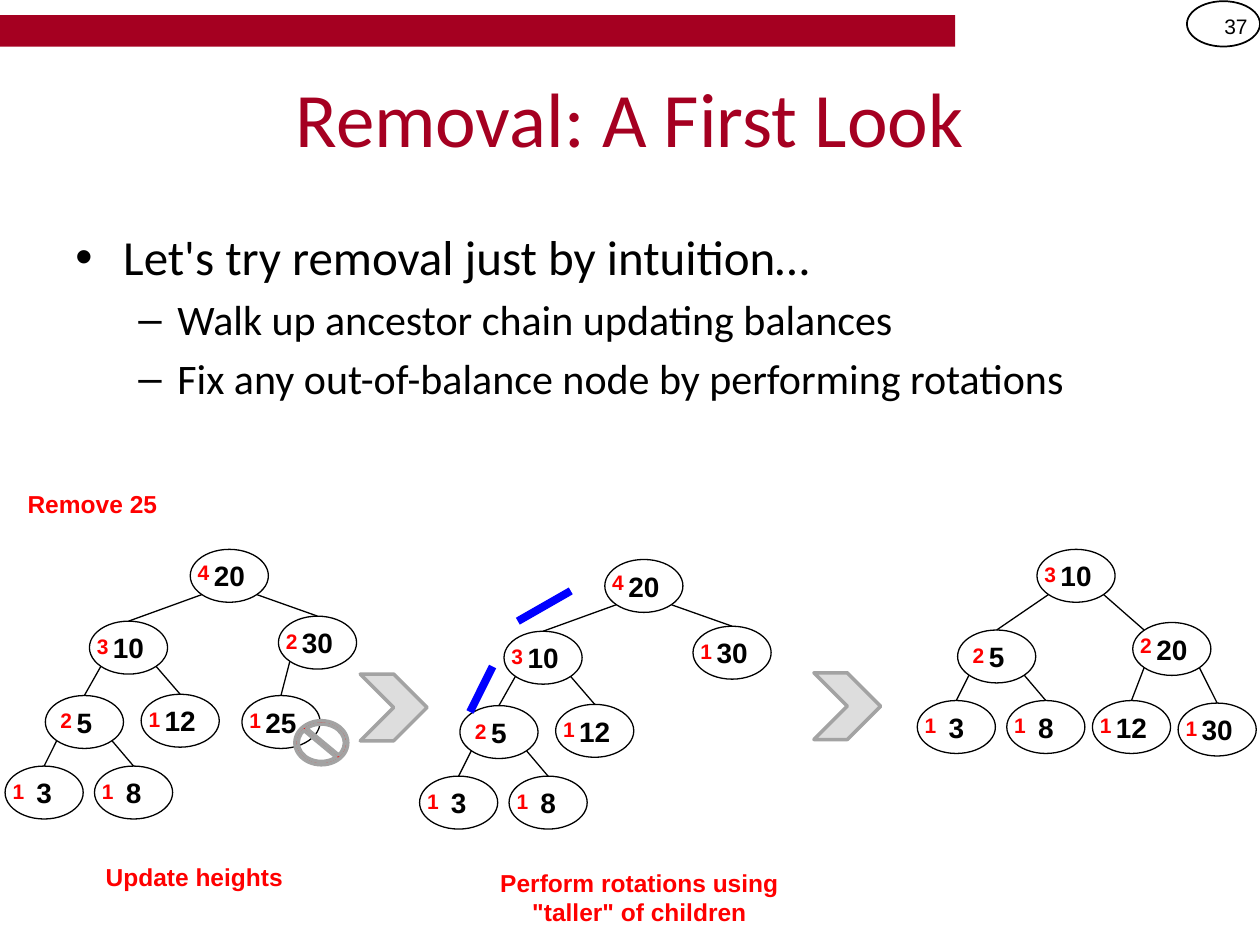
from lxml.etree import SubElement
from pptx import Presentation
from pptx.dml.color import RGBColor
from pptx.enum.shapes import MSO_CONNECTOR, MSO_SHAPE
from pptx.enum.text import MSO_ANCHOR, PP_ALIGN
from pptx.oxml.ns import qn
from pptx.util import Inches, Pt

COLORS = {"wine": "A50021", "black": "000000", "white": "FFFFFF", "red": "FF0000",
          "blue": "0000FF", "gray": "A3A3A3", "pale": "DDDDDD"}
NODE_W, NODE_H = 0.62, 0.42
EDGE_X, EDGE_Y = 0.09, 0.06

FIRST = [("20", 4, 1.51, 4.36, None), ("30", 2, 2.21, 4.89, "20"),
         ("10", 3, 0.71, 4.93, "20"), ("12", 1, 1.12, 5.51, "10"),
         ("25", 1, 1.92, 5.52, "30"), ("5", 2, 0.36, 5.52, "10"),
         ("3", 1, 0.04, 6.08, "5"), ("8", 1, 0.75, 6.08, "5")]
LAST = [("10", 3, 8.23, 4.36, None), ("20", 2, 8.99, 4.94, "10"),
        ("30", 1, 9.35, 5.58, "20"), ("12", 1, 8.67, 5.56, "20"),
        ("5", 2, 7.6, 5, "10"), ("3", 1, 7.28, 5.56, "5"),
        ("8", 1, 7.99, 5.56, "5")]


def paint(name):
    return RGBColor.from_string(COLORS[name])


def add_run(para, text, size, color, font="Arial", bold=False):
    run = para.add_run()
    run.text = text
    run.font.size = Pt(size)
    run.font.name = font
    run.font.bold = bold
    run.font.color.rgb = paint(color)


def add_box(slide, box, anchor=MSO_ANCHOR.TOP):
    frame = slide.shapes.add_textbox(*map(Inches, box)).text_frame
    frame.word_wrap = True
    frame.vertical_anchor = anchor
    return frame


def add_text(slide, box, text, size, color, align=PP_ALIGN.LEFT,
             anchor=MSO_ANCHOR.TOP, font="Arial", bold=False):
    para = add_box(slide, box, anchor).paragraphs[0]
    para.alignment = align
    add_run(para, text, size, color, font, bold)


def add_shape(slide, kind, box, fill=None, line=None, width=1):
    shape = slide.shapes.add_shape(kind, *map(Inches, box))
    shape.shadow.inherit = False
    if fill:
        shape.fill.solid()
        shape.fill.fore_color.rgb = paint(fill)
    else:
        shape.fill.background()
    if line:
        shape.line.color.rgb = paint(line)
        shape.line.width = Pt(width)
    else:
        shape.line.fill.background()
    return shape


def add_line(slide, start, end, color="black", width=0.75):
    line = slide.shapes.add_connector(MSO_CONNECTOR.STRAIGHT, *map(Inches, (*start, *end)))
    line.line.color.rgb = paint(color)
    line.line.width = Pt(width)
    SubElement(line._element.spPr, qn("a:effectLst"))


def add_node(slide, value, height, x, y):
    oval = add_shape(slide, MSO_SHAPE.OVAL, (x, y, NODE_W, NODE_H), "white", "black", 0.75)
    frame = oval.text_frame
    frame.margin_left = frame.margin_right = 0
    frame.vertical_anchor = MSO_ANCHOR.MIDDLE
    para = frame.paragraphs[0]
    para.alignment = PP_ALIGN.CENTER
    add_run(para, value, 16, "black", bold=True)
    left = x - (0.06 if value == "5" else 0.12)
    top = y + (0.03 if value == "20" else 0.05)
    add_text(slide, (left, top, 0.37, 0.3), str(height), 12, "red",
             PP_ALIGN.RIGHT, bold=True)


def add_edge(slide, above, below, corner=False):
    side = EDGE_X if below[0] < above[0] else NODE_W - EDGE_X
    start = above[0] + side, above[1] + NODE_H - EDGE_Y
    dx, dy = (EDGE_X, EDGE_Y) if corner else (NODE_W / 2, 0)
    add_line(slide, start, (below[0] + dx, below[1] + dy))


def add_tree(slide, nodes, corner=None):
    spots = {value: (x, y) for value, _, x, y, _ in nodes}
    for value, height, x, y, above in nodes:
        add_node(slide, value, height, x, y)
        if above:
            add_edge(slide, spots[above], (x, y), value == corner)


def add_bullet(para, mark, left, hang, text, size):
    props = para._p.get_or_add_pPr()
    props.set("marL", str(Inches(left)))
    props.set("indent", str(-Inches(hang)))
    SubElement(props, qn("a:buFont"), typeface="Arial")
    SubElement(props, qn("a:buChar"), char=mark)
    add_run(para, text, size, "black", "Calibri")


def add_body(slide):
    frame = add_box(slide, (0.5, 1.75, 9, 4.95))
    add_bullet(frame.paragraphs[0], "•", 0.38, 0.38,
               "Let's try removal just by intuition…", 28)
    for text in ("Walk up ancestor chain updating balances",
                 "Fix any out-of-balance node by performing rotations"):
        para = frame.add_paragraph()
        para.level = 1
        para.space_before = Pt(4.8)
        add_bullet(para, "–", 0.81, 0.31, text, 24)


def add_frame(slide):
    add_shape(slide, MSO_SHAPE.RECTANGLE, (0, 0.12, 7.58, 0.25), "wine")
    add_shape(slide, MSO_SHAPE.OVAL, (9.42, 0.01, 0.58, 0.36), line="black")
    add_text(slide, (9.42, 0.01, 0.58, 0.4), "37", 12, "black",
             PP_ALIGN.RIGHT, MSO_ANCHOR.MIDDLE)
    add_text(slide, (0.5, 0.3, 9, 1.25), "Removal: A First Look", 44, "wine",
             PP_ALIGN.CENTER, MSO_ANCHOR.MIDDLE, "Calibri")


def main():
    deck = Presentation()
    deck.slide_width, deck.slide_height = Inches(10), Inches(7.5)
    slide = deck.slides.add_slide(deck.slide_layouts[6])
    add_frame(slide)
    add_body(slide)

    second = [(value, 1 if value == "30" else height, x + 3.29, y + 0.08, above)
              for value, height, x, y, above in FIRST if value != "25"]
    add_tree(slide, FIRST)
    add_tree(slide, second)
    add_tree(slide, LAST, corner="20")

    ban = add_shape(slide, MSO_SHAPE.NO_SYMBOL, (2.34, 5.72, 0.42, 0.35), "red", "gray", 2)
    ban.adjustments[0] = 0.076
    for x, y in ((2.86, 5.35), (6.46, 5.34)):
        add_shape(slide, MSO_SHAPE.CHEVRON, (x, y, 0.53, 0.53), "pale", "gray", 2)
    for start, end in (((4.53, 4.69), (4.11, 4.93)), ((3.91, 5.29), (3.73, 5.65))):
        add_line(slide, start, end, "blue", 4.5)

    for box, text, align in (
            ((0.12, 3.83, 1.31, 0.34), "Remove 25", PP_ALIGN.LEFT),
            ((0.74, 6.79, 1.8, 0.34), "Update heights", PP_ALIGN.LEFT),
            ((3.74, 6.84, 2.67, 0.57), 'Perform rotations using "taller" of children',
             PP_ALIGN.CENTER)):
        add_text(slide, box, text, 14, "red", align, bold=True)
    deck.save("out.pptx")


if __name__ == "__main__":
    main()
